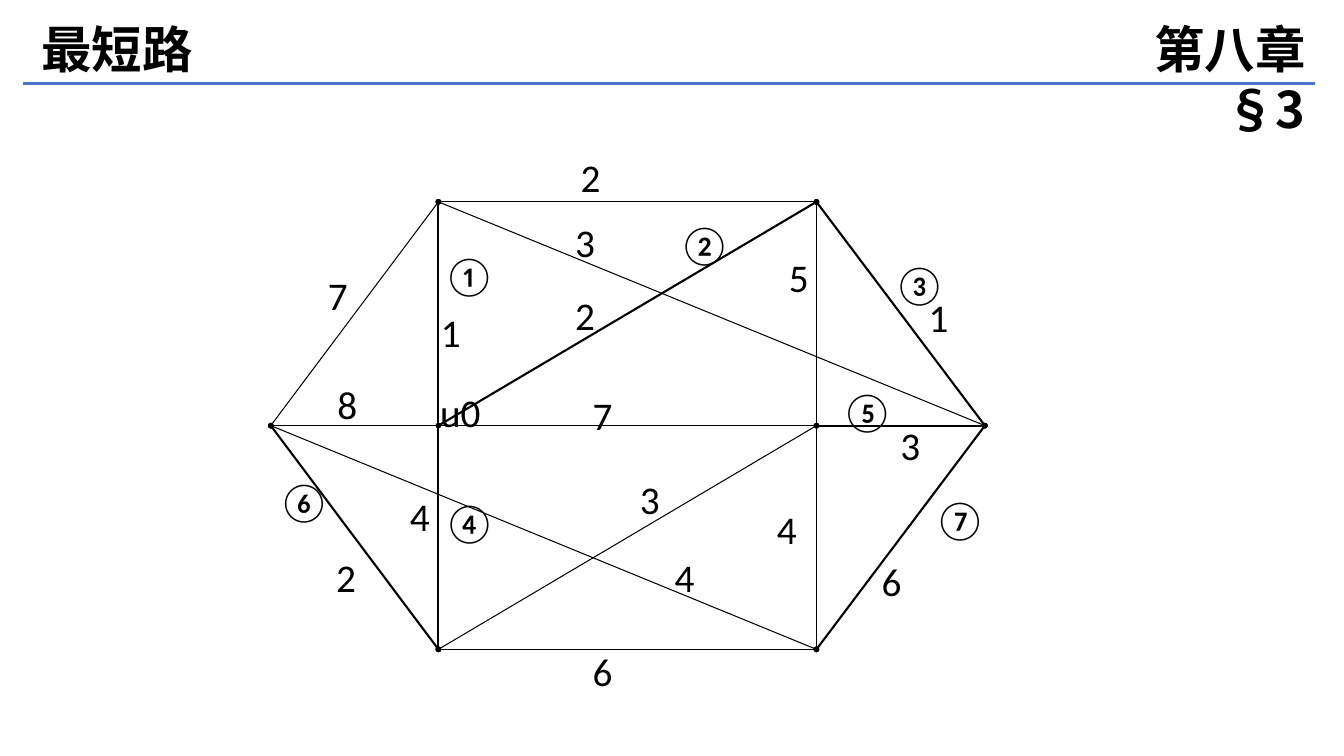
import pptx
import pptx.util
import pptx.dml.color
import pptx.enum.shapes
import pptx.enum.text
import pptx.oxml.ns
from lxml import etree

COLORS = {"ink": "000000", "rule": "4874CB"}
LATIN, CHINESE = "Calibri", "Noto Sans CJK SC"
THIN, TREE = 0.75, 1.5

# Places and sizes are percentages of the slide's width and height
HEADINGS = [  # text, left, width, alignment
    ("最短路", 2.33, 44.25, "LEFT"),
    ("第八章 §3", 78.83, 19.05, "RIGHT"),
]
HEADING_TOP, HEADING_HEIGHT = 1.73, 9.47
RULE_START, RULE_END = (1.73, 11.07), (97.88, 11.07)

COLUMNS = (20.15, 32.62, 60.75, 73.28)
ROWS = (26.7, 56.3, 85.9)
VERTICES = {  # name: column, row
    "west": (0, 1), "top left": (1, 0), "root": (1, 1), "bottom left": (1, 2),
    "top right": (2, 0), "right": (2, 1), "bottom right": (2, 2), "east": (3, 1),
}
EDGES = [
    ("top right", "top left", THIN),
    ("top left", "west", THIN),
    ("west", "bottom right", THIN),
    ("right", "west", THIN),
    ("bottom right", "bottom left", THIN),
    ("top right", "bottom right", THIN),
    ("bottom left", "right", THIN),
    ("top left", "east", THIN),
    ("east", "top right", TREE),
    ("west", "bottom left", TREE),
    ("bottom right", "east", TREE),
    ("top left", "bottom left", TREE),
    ("top right", "root", TREE),
    ("east", "right", TREE),
]

WEIGHTS = [  # text, left, top
    ("2", 43.2, 20.3), ("3", 42.8, 28.9), ("7", 24.4, 35.9),
    ("5", 58.7, 33.5), ("2", 42.8, 38.5), ("1", 32.8, 40.8),
    ("1", 69.1, 38.8), ("8", 25.1, 50.3), ("7", 44.1, 51.7),
    ("3", 67.0, 55.7), ("3", 47.6, 62.9), ("4", 30.5, 65.1),
    ("4", 57.8, 66.9), ("2", 25.0, 73.2), ("4", 50.2, 73.2),
    ("6", 65.6, 73.7), ("6", 44.1, 85.6),
]
STEPS = [
    ("①", 33.0, 33.2), ("②", 50.5, 29.2), ("③", 66.5, 34.4),
    ("⑤", 62.6, 51.2), ("⑥", 20.7, 63.1), ("⑦", 69.5, 65.5),
]
TIGHT_LABELS = [("u0", 32.0, 54.3), ("④", 33.0, 68.8)]
WEIGHT_SIZE, STEP_SIZE, TIGHT_SIZE = (3.4, 4.8), (4.5, 8.3), (5.85, 11.3)

deck = pptx.Presentation()
deck.slide_width = pptx.util.Inches(13.33)
deck.slide_height = pptx.util.Inches(7.5)
page = deck.slides.add_slide(deck.slide_layouts[6])


def across(share):
    return round(deck.slide_width * share / 100)


def down(share):
    return round(deck.slide_height * share / 100)


def color(name):
    return pptx.dml.color.RGBColor.from_string(COLORS[name])


def add_line(start, end, width, paint, dots=False):
    line = page.shapes.add_connector(
        pptx.enum.shapes.MSO_CONNECTOR.STRAIGHT,
        across(start[0]), down(start[1]), across(end[0]), down(end[1]))
    line.line.width = pptx.util.Pt(width)
    line.line.color.rgb = color(paint)
    if dots:
        outline = line.line._get_or_add_ln()
        for tag in ("a:headEnd", "a:tailEnd"):
            etree.SubElement(outline, pptx.oxml.ns.qn(tag), type="oval", w="sm", len="sm")
    etree.SubElement(line._element.spPr, pptx.oxml.ns.qn("a:effectLst"))


def add_text(text, place, size, points, font, bold=False, margin=0.0):
    box = page.shapes.add_textbox(
        across(place[0]), down(place[1]), across(size[0]), down(size[1]))
    frame = box.text_frame
    frame.word_wrap = True
    frame.margin_left = frame.margin_right = pptx.util.Inches(margin)
    frame.margin_top = frame.margin_bottom = pptx.util.Inches(margin / 2)
    para = frame.paragraphs[0]
    span = para.add_run()
    span.text = text
    span.font.size = pptx.util.Pt(points)
    span.font.name = font
    span.font.bold = bold
    span.font.color.rgb = color("ink")
    if font == CHINESE:
        etree.SubElement(span.font._element, pptx.oxml.ns.qn("a:ea"), typeface=font)
    return para


# Header
add_line(RULE_START, RULE_END, 2.25, "rule")
for text, left, width, side in HEADINGS:
    para = add_text(text, (left, HEADING_TOP), (width, HEADING_HEIGHT), 36, CHINESE, True, 0.1)
    para.alignment = getattr(pptx.enum.text.PP_ALIGN, side)

# Graph edges, with a dot at each vertex
points = {name: (COLUMNS[col], ROWS[row]) for name, (col, row) in VERTICES.items()}
for start, end, width in EDGES:
    add_line(points[start], points[end], width, "ink", dots=True)

# Edge weights and the order in which the tree grows
for labels, size in ((WEIGHTS, WEIGHT_SIZE), (STEPS, STEP_SIZE)):
    for text, left, top in labels:
        add_text(text, (left, top), size, 28, LATIN)

# Labels with fixed line spacing; the root's name is indented
for text, left, top in TIGHT_LABELS:
    para = add_text(text, (left, top), TIGHT_SIZE, 28, LATIN)
    para.line_spacing = pptx.util.Pt(18)
    if text == "u0":
        para._p.get_or_add_pPr().set("indent", str(pptx.util.Inches(0.1)))

deck.save("out.pptx")
